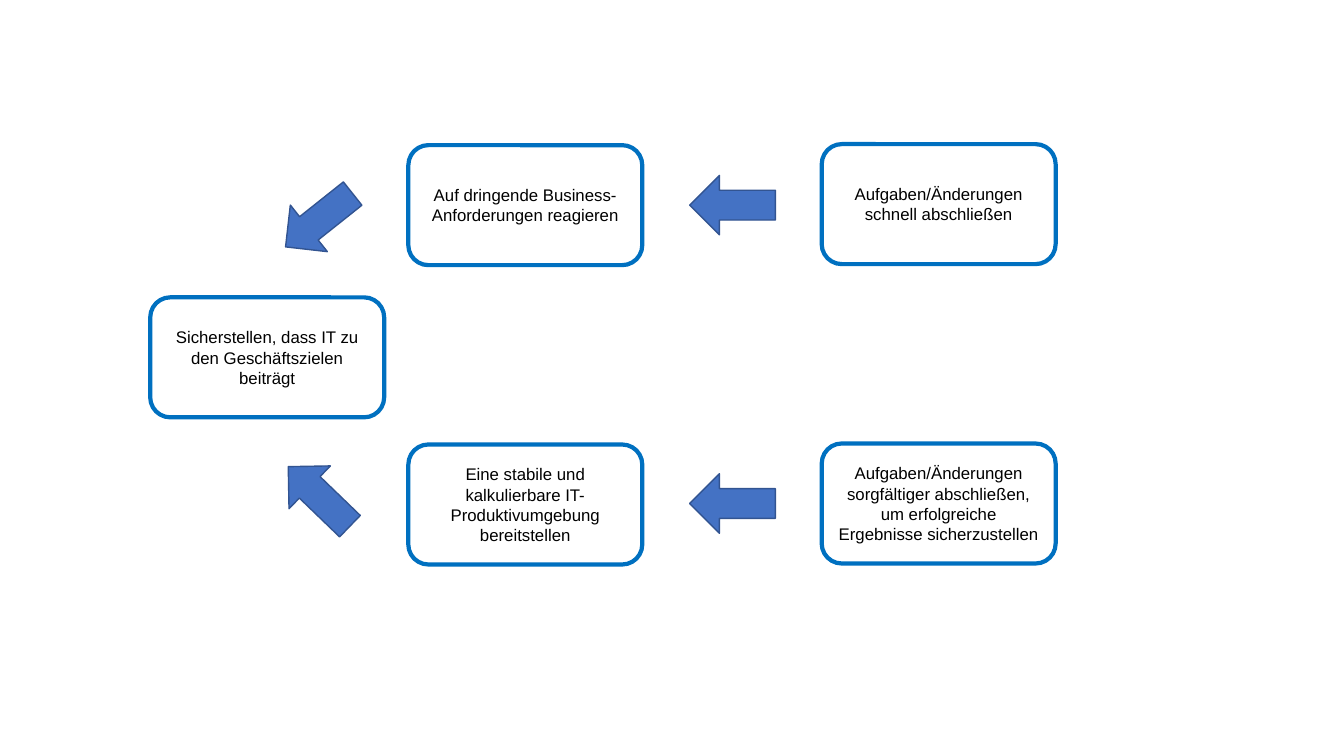
from pptx import Presentation
from pptx.dml.color import RGBColor
from pptx.enum.shapes import MSO_SHAPE
from pptx.enum.text import MSO_ANCHOR, PP_ALIGN
from pptx.util import Inches, Pt

COLORS = {
    "white": "FFFFFF",
    "text": "000000",
    "goal_line": "0070C0",
    "arrow": "4472C4",
    "arrow_line": "325491",
}
GOAL_SIZE = (2.32, 1.19)
ARROW_SIZE = (0.85, 0.59)

GOALS = [
    (1.49, 2.95, "Sicherstellen, dass IT zu den Geschäftszielen beiträgt"),
    (8.15, 4.4, "Aufgaben/Änderungen sorgfältiger abschließen, "
                "um erfolgreiche Ergebnisse sicherzustellen"),
    (8.15, 1.43, "Aufgaben/Änderungen schnell abschließen"),
    (4.05, 4.41, "Eine stabile und kalkulierbare IT-Produktivumgebung bereitstellen"),
    (4.05, 1.44, "Auf dringende Business-Anforderungen reagieren"),
]
# left, top, rotation in degrees
ARROWS = [
    (2.74, 1.89, 141.5),
    (6.84, 1.74, 180),
    (6.84, 4.7, 180),
    (2.74, 4.63, 224),
]


def color(name):
    return RGBColor.from_string(COLORS[name])


class ConflictDiagram:
    """Draws goal boxes and arrows in one style on the current slide."""

    text_format = {"name": "Arial", "size": Pt(12)}
    frame_format = {"word_wrap": True, "vertical_anchor": MSO_ANCHOR.MIDDLE}

    def __init__(self, page):
        self.page = page

    def shape(self, kind, left, top, size, fill, line, weight):
        shape = self.page.shapes.add_shape(
            kind, *(Inches(length) for length in (left, top, *size)))
        shape.shadow.inherit = False
        shape.fill.solid()
        shape.fill.fore_color.rgb = color(fill)
        shape.line.color.rgb = color(line)
        shape.line.width = Pt(weight)
        return shape

    def goal(self, left, top, text):
        box = self.shape(MSO_SHAPE.ROUNDED_RECTANGLE, left, top, GOAL_SIZE,
                         "white", "goal_line", 3)
        for name, value in self.frame_format.items():
            setattr(box.text_frame, name, value)
        para = box.text_frame.paragraphs[0]
        para.alignment = PP_ALIGN.CENTER
        span = para.add_run()
        span.text = text
        for name, value in self.text_format.items():
            setattr(span.font, name, value)
        span.font.color.rgb = color("text")

    def arrow(self, left, top, rotation):
        arrow = self.shape(MSO_SHAPE.RIGHT_ARROW, left, top, ARROW_SIZE,
                           "arrow", "arrow_line", 1)
        arrow.rotation = rotation


def main():
    deck = Presentation()
    deck.slide_width, deck.slide_height = Inches(13.33), Inches(7.5)
    diagram = ConflictDiagram(deck.slides.add_slide(deck.slide_layouts[6]))
    for goal in GOALS:
        diagram.goal(*goal)
    for arrow in ARROWS:
        diagram.arrow(*arrow)
    deck.save("out.pptx")


if __name__ == "__main__":
    main()
